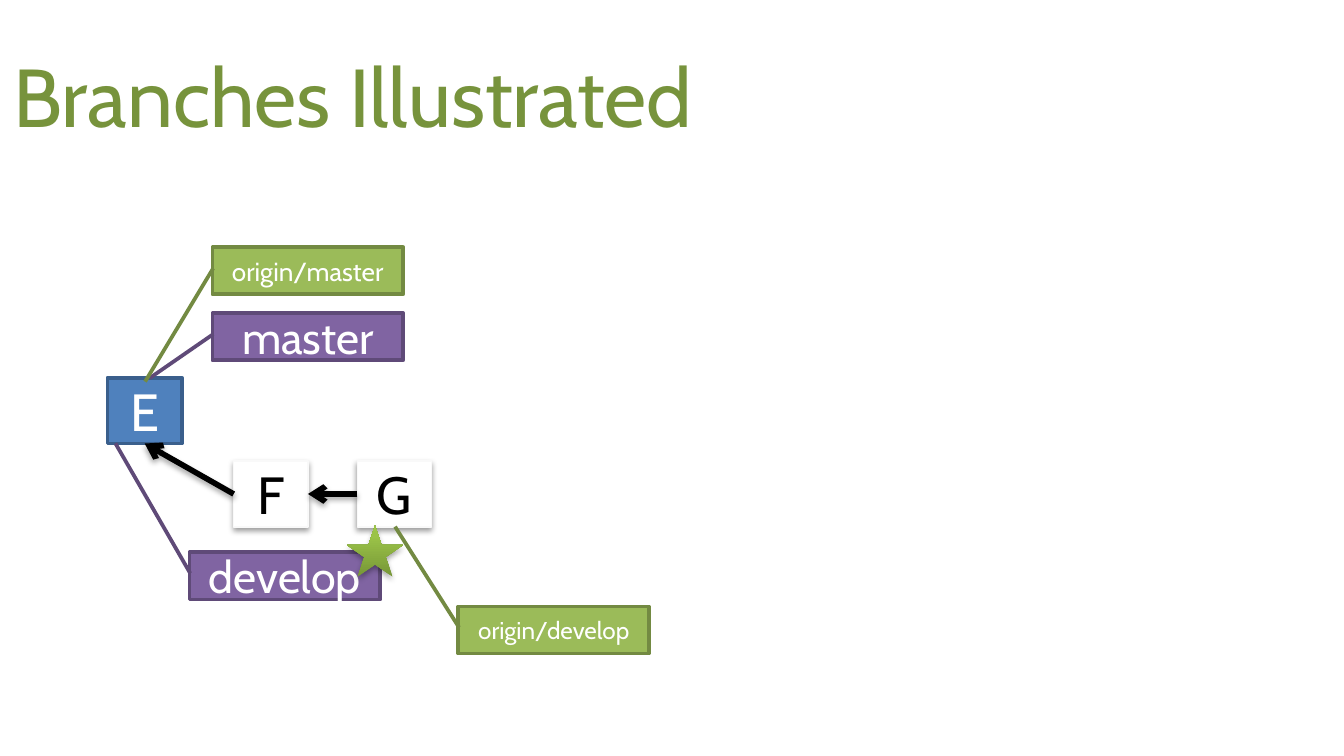
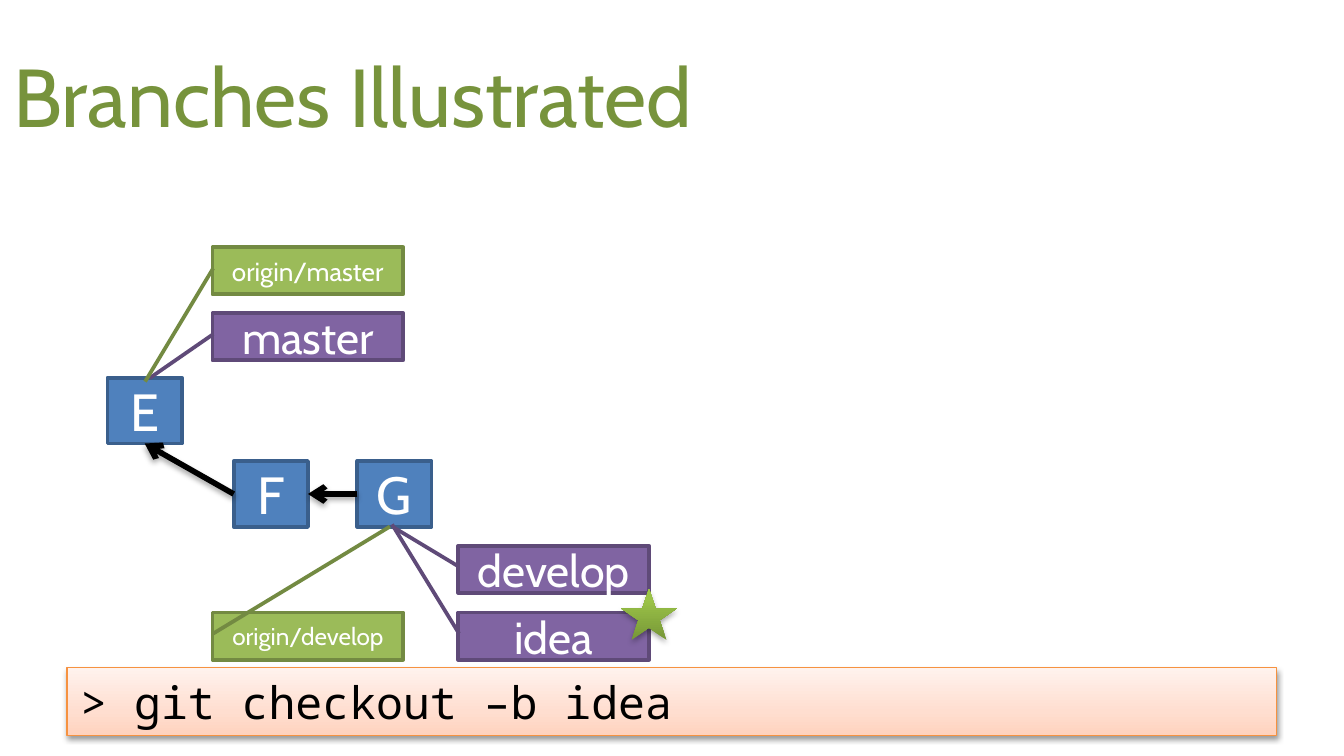
from lxml import etree
from pptx import Presentation
from pptx.dml.color import RGBColor
from pptx.enum.shapes import MSO_CONNECTOR, MSO_SHAPE
from pptx.enum.text import MSO_ANCHOR, MSO_AUTO_SIZE, PP_ALIGN
from pptx.oxml.ns import qn
from pptx.util import Pt

RECT, STAR = MSO_SHAPE.RECTANGLE, MSO_SHAPE.STAR_5_POINT
CALLOUT, LINE = MSO_SHAPE.LINE_CALLOUT_1, MSO_CONNECTOR.STRAIGHT
LEFT, CENTER = PP_ALIGN.LEFT, PP_ALIGN.CENTER
TOP, MIDDLE = MSO_ANCHOR.TOP, MSO_ANCHOR.MIDDLE
NONE, GROW = MSO_AUTO_SIZE.NONE, MSO_AUTO_SIZE.SHAPE_TO_FIT_TEXT

WHITE = RGBColor(0xFF, 0xFF, 0xFF)
BLACK = RGBColor(0, 0, 0)
OLIVE = RGBColor(0x77, 0x93, 0x3C)
PALE = RGBColor(0xF9, 0xF9, 0xF9)
BLUE, NAVY = RGBColor(0x4F, 0x81, 0xBD), RGBColor(0x3A, 0x5F, 0x8C)
PURPLE, PLUM = RGBColor(0x80, 0x64, 0xA2), RGBColor(0x5F, 0x4A, 0x78)
GREEN, MOSS = RGBColor(0x9B, 0xBB, 0x59), RGBColor(0x73, 0x8A, 0x42)
ORANGE = RGBColor(0xF6, 0x92, 0x40)
LEAF = [(0, RGBColor(0x77, 0x97, 0x37)), (80, RGBColor(0x9B, 0xC3, 0x48)),
        (100, RGBColor(0x9D, 0xC7, 0x46))]
PEACH = [(0, RGBColor(0xFF, 0xD2, 0xBD)), (35, RGBColor(0xFF, 0xDE, 0xD0)),
         (100, RGBColor(0xFF, 0xF2, 0xED))]

SANS, MONO = "Cabin", "Noto Sans Mono"
LOCAL, REMOTE = (PURPLE, PLUM), (GREEN, MOSS)
BOX_W, BOX_H = 39.8, 35.3
TAG_W, TAG_H = 102.2, 25.2
NODES = {"E": (57.6, 202.3), "F": (125.2, 247), "G": (191.4, 247)}
COL_A, COL_B = 113.8, 245.5


def write(shape, text, size, color, font=SANS, align=CENTER, anchor=MIDDLE,
          fit=NONE):
    frame = shape.text_frame
    frame.word_wrap = True
    frame.auto_size = fit
    frame.vertical_anchor = anchor
    para = frame.paragraphs[0]
    para.alignment = align
    run = para.add_run()
    run.text = text
    run.font.size = Pt(size)
    run.font.name = font
    run.font.color.rgb = color


def blend(shape, stops):
    """Fill a shape with a gradient that runs from bottom to top."""
    shape.fill.gradient()
    shape.fill.gradient_angle = 90
    group = shape.element.spPr.find(".//" + qn("a:gsLst"))
    for old in list(group):
        group.remove(old)
    for place, color in stops:
        stop = etree.SubElement(group, qn("a:gs"), pos=str(place * 1000))
        etree.SubElement(stop, qn("a:srgbClr"), val=str(color))


def shade(item, alpha, drop):
    """Give a shape or connector a soft shadow below it."""
    props = item.element.spPr
    effect = props.find(qn("a:effectLst"))
    if effect is None:
        effect = etree.SubElement(props, qn("a:effectLst"))
    outer = etree.SubElement(
        effect, qn("a:outerShdw"), blurRad=str(Pt(3.1)), dist=str(Pt(drop)),
        dir="5400000", rotWithShape="0")
    color = etree.SubElement(outer, qn("a:srgbClr"), val=str(BLACK))
    etree.SubElement(color, qn("a:alpha"), val=str(alpha * 1000))


def draw(slide, kind, x, y, w, h, fill, edge=None, width=2):
    shape = slide.shapes.add_shape(kind, Pt(x), Pt(y), Pt(w), Pt(h))
    shape.shadow.inherit = False
    if isinstance(fill, list):
        blend(shape, fill)
    else:
        shape.fill.solid()
        shape.fill.fore_color.rgb = fill
    if edge is None:
        shape.line.fill.background()
    else:
        shape.line.color.rgb = edge
        shape.line.width = Pt(width)
    return shape


def commit(slide, name, fresh=False):
    """Draw a commit box; a fresh one is white with a shadow."""
    x, y = NODES[name]
    if fresh:
        box = draw(slide, RECT, x, y, BOX_W, BOX_H, WHITE, PALE, 0.75)
        shade(box, 38, 1.6)
    else:
        box = draw(slide, RECT, x, y, BOX_W, BOX_H, BLUE, NAVY)
    write(box, name, 28, BLACK if fresh else WHITE)


def branch(slide, text, x, y, tip, look, size=24):
    """Draw a branch label whose leader ends at the point tip."""
    tag = draw(slide, CALLOUT, x, y, TAG_W, TAG_H, *look)
    ends = (0.446, 0.004, (tip[1] - y) / TAG_H, (tip[0] - x) / TAG_W)
    for i, value in enumerate(ends):
        tag.adjustments[i] = value
    write(tag, text, size, WHITE)


def arrow(slide, start, end):
    line = slide.shapes.add_connector(LINE, *(Pt(v) for v in start + end))
    line.line.color.rgb = BLACK
    line.line.width = Pt(3)
    etree.SubElement(line.element.spPr.find(qn("a:ln")), qn("a:tailEnd"),
                     type="arrow")
    shade(line, 35, 1.8)


def star(slide, x, y):
    shade(draw(slide, STAR, x, y, 30.2, 27.4, LEAF), 35, 1.8)


def shell(slide, text):
    """Draw a command bar."""
    bar = draw(slide, RECT, 36, 357.8, 648, 36.35, PEACH, ORANGE, 0.75)
    shade(bar, 38, 1.6)
    write(bar, text, 24, BLACK, font=MONO, align=LEFT, anchor=TOP, fit=GROW)


def start(deck, fresh):
    """Add a slide with the title and the commits they share."""
    slide = deck.slides.add_slide(deck.slide_layouts[5])
    title = slide.shapes.title
    title.left, title.top = Pt(0), Pt(16.6)
    title.width, title.height = Pt(648), Pt(67.7)
    write(title, "Branches Illustrated", 44, OLIVE, align=LEFT)
    commit(slide, "E")
    branch(slide, "master", COL_A, 167.8, (80.1, 202.6), LOCAL)
    branch(slide, "origin/master", COL_A, 132.5, (77.7, 204.5), REMOTE, 14)
    commit(slide, "F", fresh)
    commit(slide, "G", fresh)
    (ex, ey), (fx, fy), (gx, gy) = NODES.values()
    mid = fy + BOX_H / 2
    arrow(slide, (fx, mid), (ex + BOX_W / 2, ey + BOX_H))
    arrow(slide, (gx, mid), (fx + BOX_W, mid))
    return slide


def main():
    deck = Presentation()
    deck.slide_width, deck.slide_height = Pt(720), Pt(405)

    slide = start(deck, fresh=True)
    branch(slide, "develop", 101.5, 295.9, (61.8, 237.5), LOCAL)
    branch(slide, "origin/develop", COL_B, 324.9, (211.6, 282.1), REMOTE, 13)
    star(slide, 185.8, 281.5)

    slide = start(deck, fresh=False)
    branch(slide, "develop", COL_B, 292.4, (210.8, 282.5), LOCAL)
    branch(slide, "origin/develop", COL_A, 328.2, (208.9, 282.1), REMOTE, 13)
    shell(slide, "> git checkout –b idea")
    branch(slide, "idea", COL_B, 328.2, (210, 280.9), LOCAL)
    star(slide, 332.6, 315.4)

    deck.save("out.pptx")


if __name__ == "__main__":
    main()
